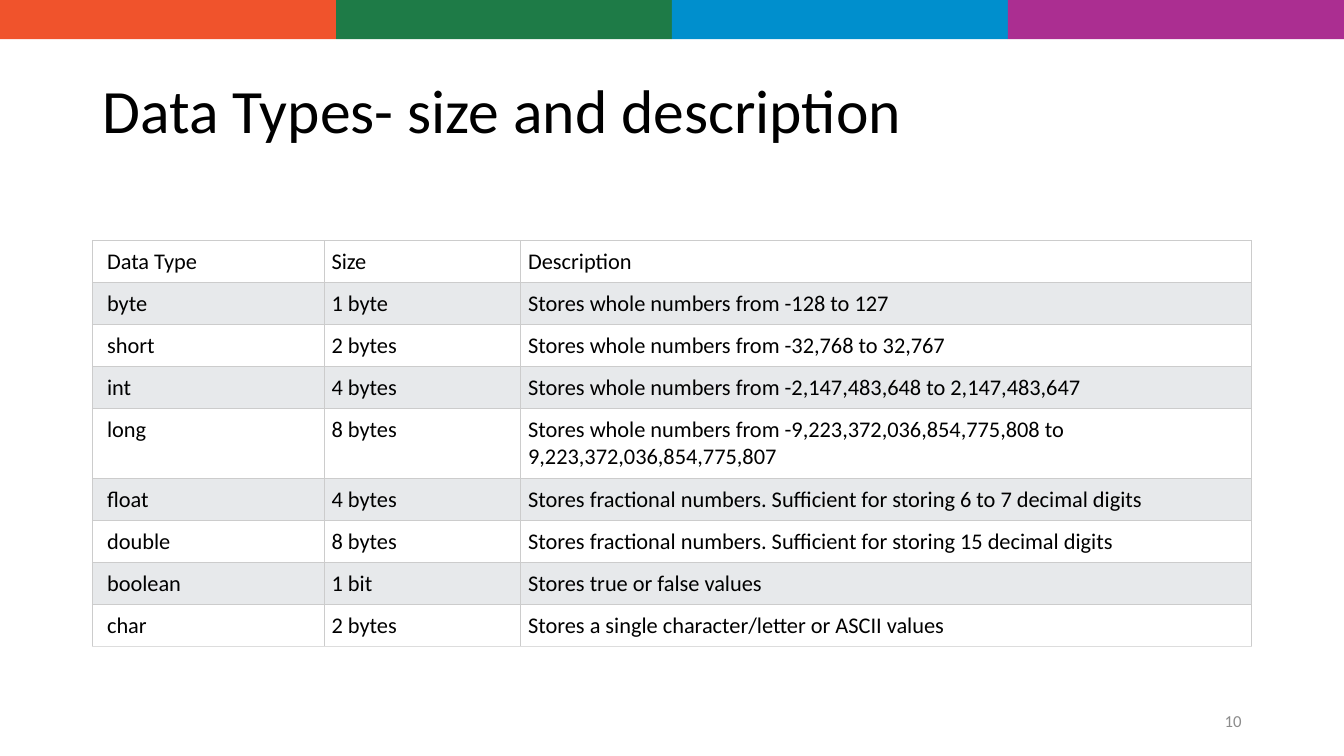
"""Build the slide on the sizes and descriptions of the primitive data types."""
from dataclasses import dataclass

from lxml import etree
from pptx import Presentation
from pptx import util as u
from pptx.dml.color import RGBColor
from pptx.enum import shapes, text
from pptx.oxml import ns

COLOURS = {
    "orange": "F0532C", "green": "1E7B47", "blue": "008FCD", "purple": "AB2E91",
    "black": "000000", "white": "FFFFFF", "band": "E7E9EB",
    "grid": "CCCCCC", "bottom": "DDDDDD", "number": "8C8C8C",
}
SLIDE_WIDTH, SLIDE_HEIGHT = 960, 540
STRIPE_HEIGHT = 28
LEFT, WIDTH = 66, 828
COLUMN_WIDTHS = (165.6, 140.4, 522)
ROW_HEIGHT, TALL_ROW_HEIGHT = 29.75, 48.5
INSET, FIRST_INSET = 5.25, 10.5


@dataclass(frozen=True)
class DataType:
    name: str
    size: str
    description: str
    height: float = ROW_HEIGHT


DATA_TYPES = [
    DataType("Data Type", "Size", "Description"),
    DataType("byte", "1 byte", "Stores whole numbers from -128 to 127"),
    DataType("short", "2 bytes", "Stores whole numbers from -32,768 to 32,767"),
    DataType("int", "4 bytes", "Stores whole numbers from -2,147,483,648 to 2,147,483,647"),
    DataType("long", "8 bytes",
             "Stores whole numbers from -9,223,372,036,854,775,808 to 9,223,372,036,854,775,807",
             TALL_ROW_HEIGHT),
    DataType("float", "4 bytes",
             "Stores fractional numbers. Sufficient for storing 6 to 7 decimal digits"),
    DataType("double", "8 bytes",
             "Stores fractional numbers. Sufficient for storing 15 decimal digits"),
    DataType("boolean", "1 bit", "Stores true or false values"),
    DataType("char", "2 bytes", "Stores a single character/letter or ASCII values"),
]


def rgb(colour: str) -> RGBColor:
    return RGBColor.from_string(COLOURS[colour])


def add_run(paragraph, words: str, size: float, colour: str) -> None:
    run = paragraph.add_run()
    run.text = words
    run.font.name = "Calibri"
    run.font.size = u.Pt(size)
    run.font.color.rgb = rgb(colour)


def add_stripes(slide) -> None:
    width = SLIDE_WIDTH / 4
    for index, colour in enumerate(("orange", "green", "blue", "purple")):
        stripe = slide.shapes.add_shape(
            shapes.MSO_SHAPE.RECTANGLE,
            u.Pt(index * width), u.Pt(0), u.Pt(width), u.Pt(STRIPE_HEIGHT))
        stripe.shadow.inherit = False
        stripe.fill.solid()
        stripe.fill.fore_color.rgb = rgb(colour)
        stripe.line.fill.background()


def add_title(slide) -> None:
    title = slide.shapes.title
    title.left, title.top = u.Pt(LEFT), u.Pt(28.75)
    title.width, title.height = u.Pt(WIDTH), u.Pt(104.4)
    frame = title.text_frame
    frame.vertical_anchor = text.MSO_ANCHOR.MIDDLE
    heading = frame.paragraphs[0]
    heading.alignment = text.PP_ALIGN.LEFT
    heading.line_spacing = 0.9
    add_run(heading, "Data Types- size and description", 44, "black")


def set_borders(cell, bottom: str) -> None:
    properties = cell._tc.get_or_add_tcPr()
    for side, colour in (("L", "grid"), ("R", "grid"), ("T", "grid"), ("B", bottom)):
        border = etree.SubElement(properties, ns.qn(f"a:ln{side}"), w=str(u.Pt(0.75)))
        fill = etree.SubElement(border, ns.qn("a:solidFill"))
        etree.SubElement(fill, ns.qn("a:srgbClr"), val=COLOURS[colour])


def fill_cell(cell, words: str, left_inset: float, background: str, bottom: str) -> None:
    cell.margin_left = u.Pt(left_inset)
    cell.margin_right = cell.margin_top = cell.margin_bottom = u.Pt(INSET)
    set_borders(cell, bottom)
    cell.fill.solid()
    cell.fill.fore_color.rgb = rgb(background)
    add_run(cell.text_frame.paragraphs[0], words, 16, "black")


def add_data_types(slide) -> None:
    table = slide.shapes.add_table(
        len(DATA_TYPES), len(COLUMN_WIDTHS), u.Pt(LEFT), u.Pt(171.75), u.Pt(WIDTH),
        u.Pt(sum(kind.height for kind in DATA_TYPES))).table
    table.first_row = table.horz_banding = False
    for column, width in zip(table.columns, COLUMN_WIDTHS):
        column.width = u.Pt(width)
    for index, kind in enumerate(DATA_TYPES):
        table.rows[index].height = u.Pt(kind.height)
        background = "band" if index % 2 else "white"
        bottom = "bottom" if kind is DATA_TYPES[-1] else "grid"
        for position, words in enumerate((kind.name, kind.size, kind.description)):
            inset = INSET if position else FIRST_INSET
            fill_cell(table.cell(index, position), words, inset, background, bottom)


def add_page_number(slide) -> None:
    frame = slide.shapes.add_textbox(u.Pt(678), u.Pt(500.5), u.Pt(216), u.Pt(28.75)).text_frame
    frame.word_wrap = True
    frame.vertical_anchor = text.MSO_ANCHOR.MIDDLE
    number = frame.paragraphs[0]
    number.alignment = text.PP_ALIGN.RIGHT
    add_run(number, "10", 12, "number")


def main() -> None:
    deck = Presentation()
    deck.slide_width, deck.slide_height = u.Pt(SLIDE_WIDTH), u.Pt(SLIDE_HEIGHT)
    slide = deck.slides.add_slide(deck.slide_layouts[5])
    add_stripes(slide)
    add_title(slide)
    add_data_types(slide)
    add_page_number(slide)
    deck.save("out.pptx")


if __name__ == "__main__":
    main()
